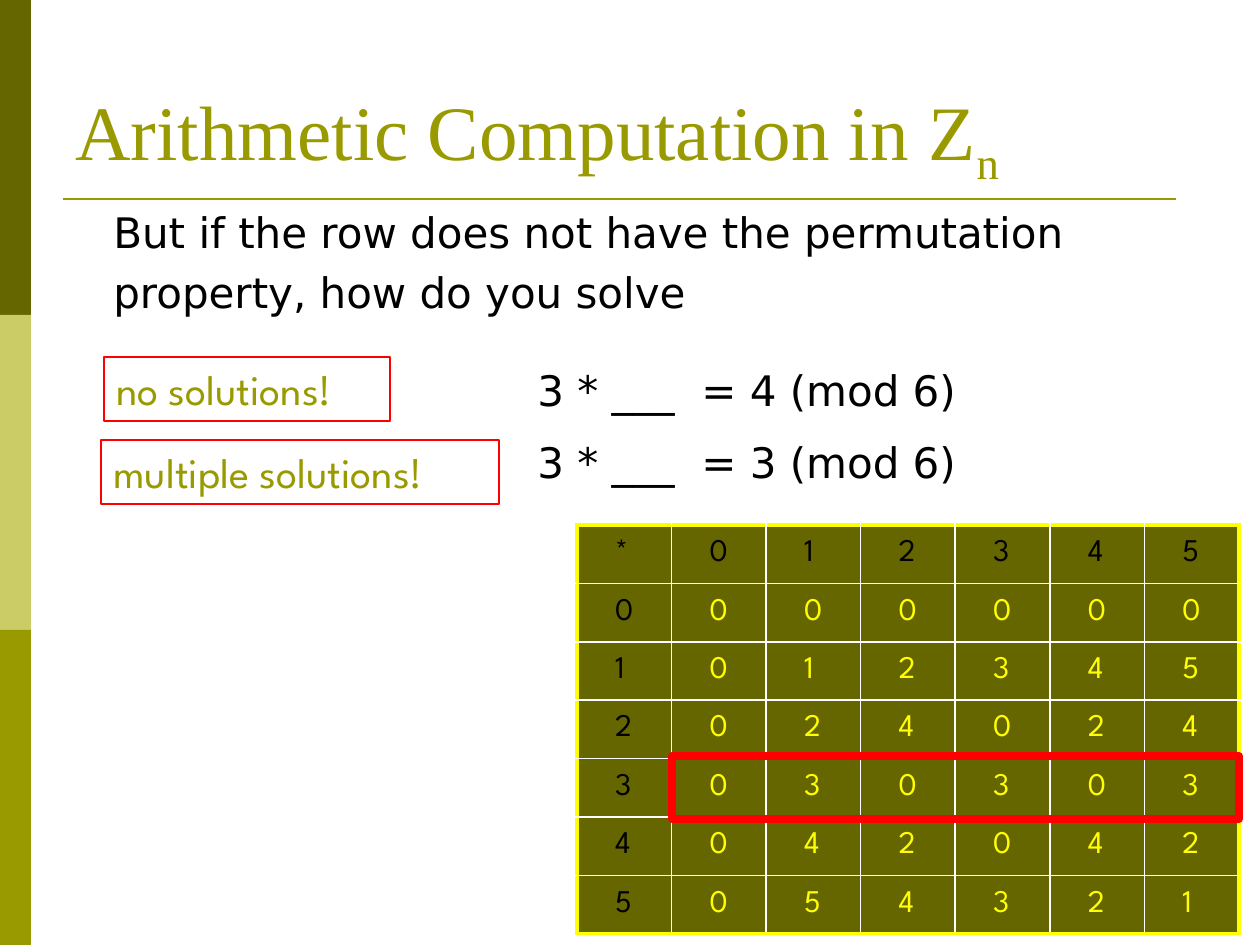
from lxml import etree
from pptx import Presentation
from pptx.dml.color import RGBColor
from pptx.enum.shapes import MSO_CONNECTOR, MSO_SHAPE
from pptx.enum.text import MSO_ANCHOR, PP_ALIGN
from pptx.oxml.ns import qn
from pptx.util import Emu, Pt

RECT = MSO_SHAPE.RECTANGLE
STRAIGHT = MSO_CONNECTOR.STRAIGHT
TOP, MIDDLE, BOTTOM = MSO_ANCHOR.TOP, MSO_ANCHOR.MIDDLE, MSO_ANCHOR.BOTTOM
LEFT = PP_ALIGN.LEFT
SANS, SPARTAN, SERIF = "DejaVu Sans", "League Spartan", "Times New Roman"
DARK, PALE, OLIVE = "666600", "CCCC66", "999900"
BLACK, WHITE, YELLOW, RED = "000000", "FFFFFF", "FFFF00", "FF0000"
MODULUS = 6


def px(n):
    return Emu(round(n * 914400 / 126))


def rgb(color):
    return RGBColor.from_string(color)


def style_text(tf, size, font, color):
    for p in tf.paragraphs:
        p.alignment = LEFT
        for r in p.runs:
            r.font.size = Pt(size)
            r.font.name = font
            r.font.color.rgb = rgb(color)


def add_rect(slide, box, fill=None, line=None, weight=0.75):
    sp = slide.shapes.add_shape(RECT, *map(px, box))
    sp.shadow.inherit = False
    if fill:
        sp.fill.solid()
        sp.fill.fore_color.rgb = rgb(fill)
    else:
        sp.fill.background()
    if line:
        sp.line.color.rgb = rgb(line)
        sp.line.width = Pt(weight)
    else:
        sp.line.fill.background()
    return sp


def add_text(slide, box, text, size, font, color, wrap=True, anchor=TOP):
    tf = slide.shapes.add_textbox(*map(px, box)).text_frame
    tf.word_wrap = wrap
    tf.vertical_anchor = anchor
    tf.text = text
    style_text(tf, size, font, color)
    return tf


def add_sidebar(slide, box):
    x, y, w, h = box
    band = h // 3
    for i, color in enumerate((DARK, PALE, OLIVE)):
        add_rect(slide, (x, y + i * band, w, band), fill=color)


def add_rule(slide, x1, x2, y):
    line = slide.shapes.add_connector(STRAIGHT, px(x1), px(y), px(x2), px(y))
    line.line.color.rgb = rgb(OLIVE)
    line.line.width = Pt(1.5)
    etree.SubElement(line._element.spPr, qn("a:effectLst"))


def add_title(slide, box):
    tf = add_text(slide, box, "Arithmetic Computation in Z", 44, SERIF, OLIVE,
                  anchor=BOTTOM)
    r = tf.paragraphs[0].add_run()
    r.text = "n"
    style_text(tf, 44, SERIF, OLIVE)
    r.font._element.set("baseline", "-25000")


def add_question(slide, box):
    tf = add_text(slide, box, "But if the row does not have the permutation\n"
                  "property, how do you solve", 24, SANS, BLACK, wrap=False)
    tf.paragraphs[1].space_before = Pt(5.8)


def add_answer(slide, box, text):
    sp = add_rect(slide, box, line=RED)
    tf = sp.text_frame
    tf.word_wrap = False
    tf.vertical_anchor = TOP
    tf.text = text
    style_text(tf, 24, SPARTAN, OLIVE)


def set_borders(cell, edges):
    """Draw the four cell borders; edges names the sides on the table's rim."""
    tcPr = cell._tc.get_or_add_tcPr()
    for i, side in enumerate("LRTB"):
        color, weight = (YELLOW, 2.25) if side in edges else (WHITE, 1)
        ln = etree.Element(qn("a:ln" + side), w=str(Pt(weight)))
        fill = etree.SubElement(ln, qn("a:solidFill"))
        etree.SubElement(fill, qn("a:srgbClr"), val=color)
        tcPr.insert(i, ln)


def add_product_table(slide, box):
    """Multiplication table modulo MODULUS, with headings, and row 3 framed."""
    x, y, w, h = box
    n = MODULUS + 1
    table = slide.shapes.add_table(n, n, *map(px, box)).table
    for col in table.columns:
        col.width = px(w / n)
    for row in table.rows:
        row.height = px(h / n)
    for i in range(n):
        for j in range(n):
            heading = i == 0 or j == 0
            if heading:
                value = max(i, j) - 1 if i or j else "*"
            else:
                value = (i - 1) * (j - 1) % MODULUS
            cell = table.cell(i, j)
            cell.fill.solid()
            cell.fill.fore_color.rgb = rgb(DARK)
            cell.vertical_anchor = MIDDLE
            cell.margin_left = cell.margin_right = px(38)
            cell.margin_top = cell.margin_bottom = px(6)
            cell.text = str(value)
            style_text(cell.text_frame, 18, SPARTAN, BLACK if heading else YELLOW)
            rim = {"L": j == 0, "R": j == n - 1, "T": i == 0, "B": i == n - 1}
            set_borders(cell, [side for side, on in rim.items() if on])
    label_w = round(w / n)
    add_rect(slide, (x + label_w, y + 231, w - label_w, 63), line=RED, weight=4.5)


def main():
    prs = Presentation()
    prs.slide_width, prs.slide_height = px(1260), px(945)
    slide = prs.slides.add_slide(prs.slide_layouts[6])
    add_sidebar(slide, (0, 0, 31, 945))
    add_rule(slide, 63, 1176, 199)
    add_question(slide, (101, 200, 994, 125))
    for y, result in ((358, 4), (430, 3)):
        add_text(slide, (525, y, 490, 63), f"3 * ___  = {result} (mod 6)",
                 24, SANS, BLACK)
    add_answer(slide, (104, 357, 286, 64), "no solutions!")
    add_answer(slide, (101, 440, 398, 64), "multiple solutions!")
    add_product_table(slide, (577, 525, 662, 409))
    add_title(slide, (63, 84, 1134, 111))
    prs.save("out.pptx")


if __name__ == "__main__":
    main()
